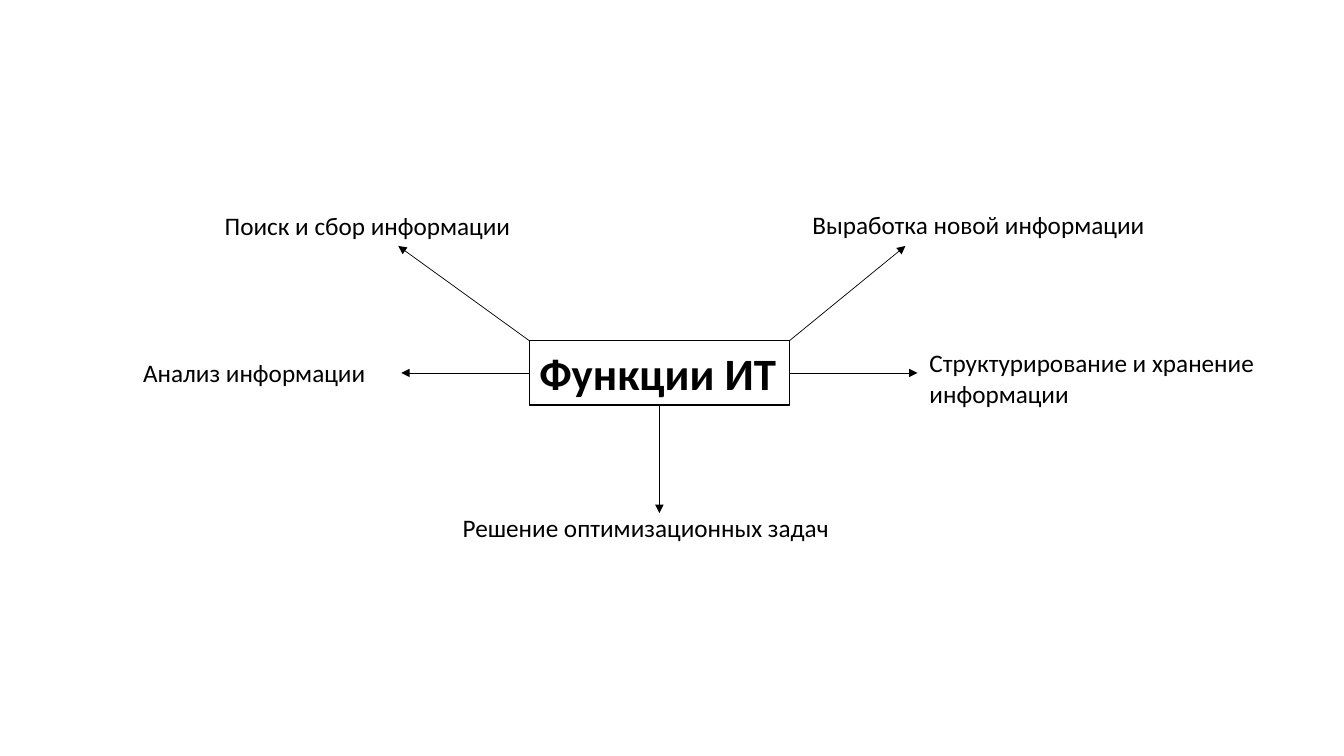
import pptx
import pptx.dml.color
import pptx.enum.shapes
import pptx.enum.text
import pptx.oxml.ns
import pptx.util
from lxml import etree
from pptx.util import Inches, Pt

TOPIC = "Функции ИТ"
TOPIC_BOX = (5.25, 3.38, 2.58, 0.64)

LEFT, TOP, WIDTH, HEIGHT = TOPIC_BOX
RIGHT, BOTTOM = LEFT + WIDTH, TOP + HEIGHT
CENTER, MIDDLE = LEFT + WIDTH / 2, TOP + HEIGHT / 2

FUNCTIONS = [
    {"label": "Поиск и сбор информации", "box": (2.13, 2.04, 3.11, 0.4),
     "start": (LEFT, TOP), "end": (3.95, 2.44)},
    {"label": "Выработка новой информации", "box": (7.96, 2.03, 3.94, 0.4),
     "start": (RIGHT, TOP), "end": (8.98, 2.44)},
    {"label": "Анализ информации", "box": (1.32, 3.5, 3.11, 0.4),
     "start": (LEFT, MIDDLE), "end": (3.98, MIDDLE)},
    {"label": "Структурирование и хранение информации", "box": (9.12, 3.4, 4.05, 0.71),
     "start": (RIGHT, MIDDLE), "end": (9.1, MIDDLE)},
    {"label": "Решение оптимизационных задач", "box": (4.49, 5.03, 4.09, 0.4),
     "start": (CENTER, BOTTOM), "end": (CENTER, 5.09)},
]

THEME = {
    "font": "Calibri",
    "ink": pptx.dml.color.RGBColor(0, 0, 0),
    "paper": pptx.dml.color.RGBColor(255, 255, 255),
    "topic_size": Pt(32),
    "label_size": Pt(18),
    "border": Pt(1),
    "arrow": Pt(0.5),
}


def write(shape, text, size, bold=False):
    frame = shape.text_frame
    frame.word_wrap = True
    frame.vertical_anchor = pptx.enum.text.MSO_ANCHOR.TOP
    paragraph = frame.paragraphs[0]
    paragraph.text = text
    paragraph.alignment = pptx.enum.text.PP_ALIGN.LEFT
    paragraph.font.name = THEME["font"]
    paragraph.font.size = size
    paragraph.font.bold = bold
    paragraph.font.color.rgb = THEME["ink"]


def add_topic(slide):
    topic = slide.shapes.add_shape(
        pptx.enum.shapes.MSO_SHAPE.RECTANGLE, *map(Inches, TOPIC_BOX))
    topic.shadow.inherit = False
    topic.fill.solid()
    topic.fill.fore_color.rgb = THEME["paper"]
    topic.line.color.rgb = THEME["ink"]
    topic.line.width = THEME["border"]
    write(topic, TOPIC, THEME["topic_size"], bold=True)


def add_arrow(slide, start, end):
    arrow = slide.shapes.add_connector(
        pptx.enum.shapes.MSO_CONNECTOR.STRAIGHT, *map(Inches, start + end))
    arrow.line.color.rgb = THEME["ink"]
    arrow.line.width = THEME["arrow"]
    qn = pptx.oxml.ns.qn
    properties = arrow.element.spPr
    etree.SubElement(properties.find(qn("a:ln")), qn("a:tailEnd"), type="triangle")
    etree.SubElement(properties, qn("a:effectLst"))


def main():
    presentation = pptx.Presentation()
    presentation.slide_width = Inches(13.33)
    presentation.slide_height = Inches(7.5)
    slide = presentation.slides.add_slide(presentation.slide_layouts[6])
    add_topic(slide)
    for function in FUNCTIONS:
        add_arrow(slide, function["start"], function["end"])
    for function in FUNCTIONS:
        label = slide.shapes.add_textbox(*map(Inches, function["box"]))
        write(label, function["label"], THEME["label_size"])
    presentation.save("out.pptx")


if __name__ == "__main__":
    main()
